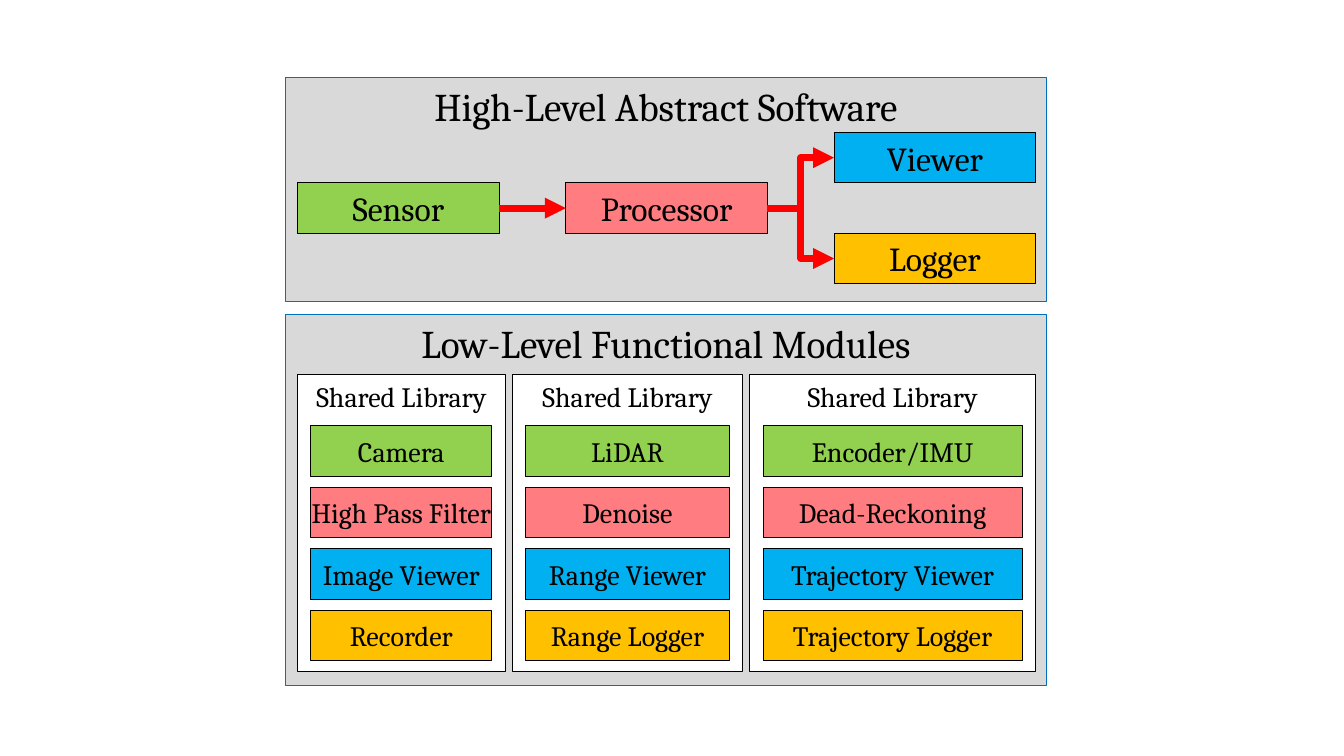
from dataclasses import dataclass

from lxml.etree import SubElement
from pptx import Presentation
from pptx.dml.color import RGBColor
from pptx.enum.shapes import MSO_CONNECTOR, MSO_SHAPE
from pptx.enum.text import MSO_ANCHOR, PP_ALIGN
from pptx.oxml.ns import qn
from pptx.util import Cm, Pt


@dataclass(frozen=True)
class Theme:
    font: str = "Cambria"
    ink: str = "000000"
    panel: str = "D9D9D9"
    edge: str = "0070C0"
    paper: str = "FFFFFF"
    arrow: str = "FF0000"
    sense: str = "92D050"
    process: str = "FF7C80"
    view: str = "00B0F0"
    log: str = "FFC000"
    title: int = 28
    stage: int = 24
    label: int = 20
    thin: float = 0.75
    thick: float = 5


THEME = Theme()
ROLES = (THEME.sense, THEME.process, THEME.view, THEME.log)
BOX_H = 1.27
LEFT = 7.5  # shared left edge of the panels' content
LIBS = (
    (5.23, ("Camera", "High Pass Filter", "Image Viewer", "Recorder")),
    (5.79, ("LiDAR", "Denoise", "Range Viewer", "Range Logger")),
    (7.19, ("Encoder/IMU", "Dead-Reckoning", "Trajectory Viewer",
            "Trajectory Logger")),
)


def color(code):
    return RGBColor.from_string(code)


def write(shape, text, *, size, anchor):
    frame = shape.text_frame
    frame.word_wrap = False
    frame.vertical_anchor = anchor
    para = frame.paragraphs[0]
    para.alignment = PP_ALIGN.CENTER
    run = para.add_run()
    run.text = text
    run.font.name = THEME.font
    run.font.size = Pt(size)
    run.font.color.rgb = color(THEME.ink)


def add_box(shapes, text, x, y, w, h, *, fill, size,
            line=THEME.ink, anchor=MSO_ANCHOR.MIDDLE):
    box = shapes.add_shape(MSO_SHAPE.RECTANGLE, Cm(x), Cm(y), Cm(w), Cm(h))
    box.shadow.inherit = False
    box.fill.solid()
    box.fill.fore_color.rgb = color(fill)
    box.line.color.rgb = color(line)
    box.line.width = Pt(THEME.thin)
    write(box, text, size=size, anchor=anchor)
    return box


def add_panel(shapes, text, y, h):
    add_box(shapes, text, 7.19, y, 19.18, h, fill=THEME.panel,
            line=THEME.edge, size=THEME.title, anchor=MSO_ANCHOR.TOP)


def add_arrow(shapes, kind, start, end):
    """Join the right side of start to the left side of end."""
    arrow = shapes.add_connector(
        kind, start.left + start.width, start.top + start.height // 2,
        end.left, end.top + end.height // 2)
    arrow.begin_connect(start, 3)
    arrow.end_connect(end, 1)
    arrow.line.color.rgb = color(THEME.arrow)
    arrow.line.width = Pt(THEME.thick)
    SubElement(arrow.line._get_or_add_ln(), qn("a:tailEnd"), type="triangle")
    SubElement(arrow._element.spPr, qn("a:effectLst"))


def add_flow(shapes):
    mid, step = 4.61, 6.76
    group = shapes.add_group_shape().shapes

    def stage(text, col, y, fill):
        return add_box(group, text, LEFT + col * step, y, 5.08, BOX_H,
                       fill=fill, size=THEME.stage)

    sensor = stage("Sensor", 0, mid, THEME.sense)
    worker = stage("Processor", 1, mid, THEME.process)
    viewer = stage("Viewer", 2, mid - BOX_H, THEME.view)
    logger = stage("Logger", 2, mid + BOX_H, THEME.log)
    add_arrow(shapes, MSO_CONNECTOR.ELBOW, worker, viewer)
    add_arrow(shapes, MSO_CONNECTOR.ELBOW, worker, logger)
    add_arrow(shapes, MSO_CONNECTOR.STRAIGHT, sensor, worker)


def add_library(shapes, x, width, names):
    top, head, inset, step = 9.44, 1.29, 0.33, 1.55
    group = shapes.add_group_shape().shapes
    add_box(group, "Shared Library", x, top, width, 7.49, fill=THEME.paper,
            size=THEME.label, anchor=MSO_ANCHOR.TOP)
    for row, (name, fill) in enumerate(zip(names, ROLES)):
        add_box(group, name, x + inset, top + head + row * step,
                width - 2 * inset, BOX_H, fill=fill, size=THEME.label)


def main():
    deck = Presentation()
    deck.slide_width, deck.slide_height = Cm(33.87), Cm(19.05)
    shapes = deck.slides.add_slide(deck.slide_layouts[6]).shapes

    add_panel(shapes, "High-Level Abstract Software", 1.95, 5.64)
    add_flow(shapes)

    add_panel(shapes, "Low-Level Functional Modules", 7.92, 9.35)
    x, gap = LEFT, 0.19
    for width, names in LIBS:
        add_library(shapes, x, width, names)
        x += width + gap

    deck.save("out.pptx")


if __name__ == "__main__":
    main()
